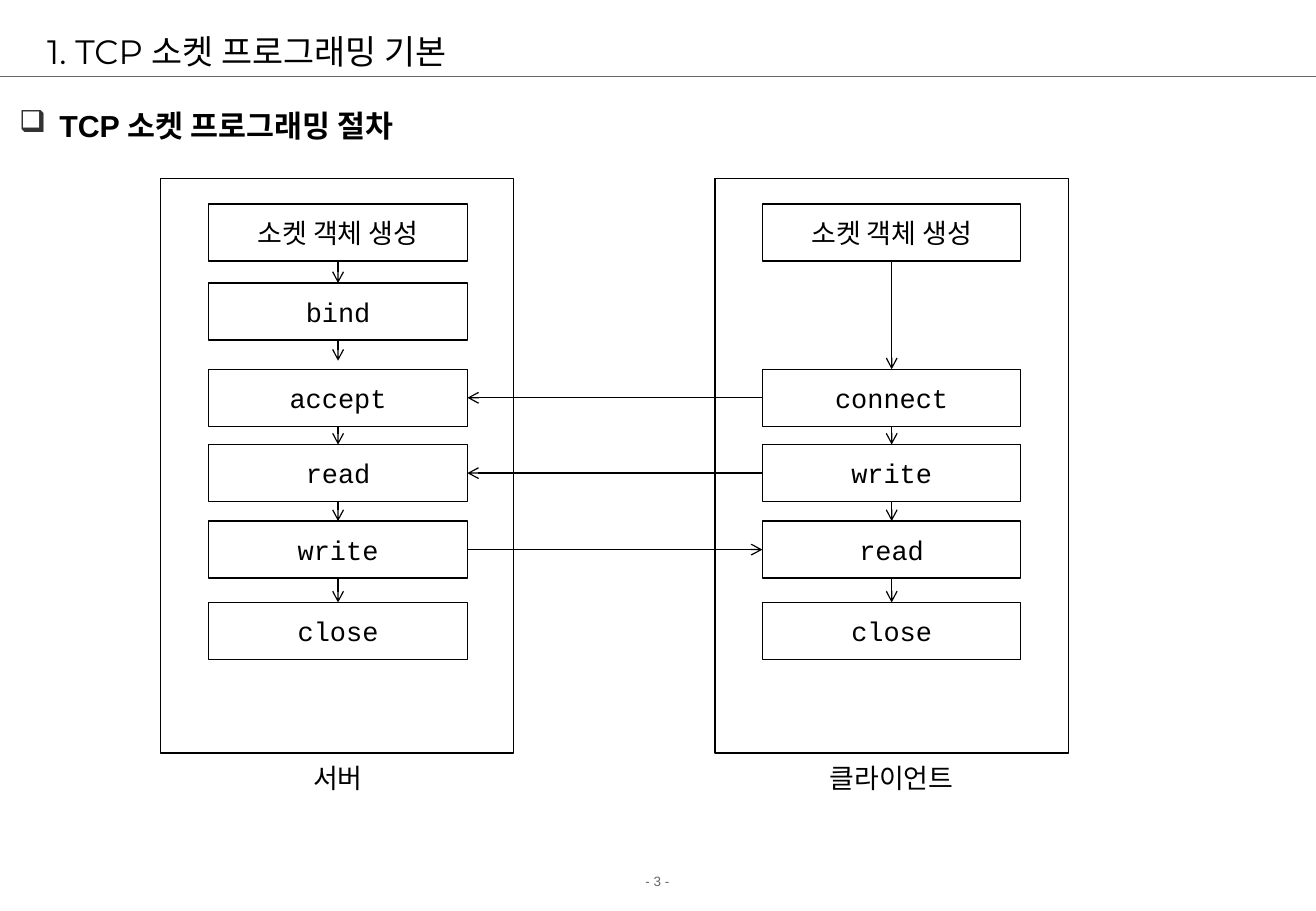
from dataclasses import dataclass
from itertools import pairwise

import pptx
import pptx.dml.color
import pptx.enum.shapes
import pptx.enum.text
import pptx.oxml
import pptx.oxml.ns
import pptx.util
from pptx.shapes.autoshape import Shape
from pptx.shapes.connector import Connector
from pptx.text.text import _Paragraph

Inches = pptx.util.Inches
Pt = pptx.util.Pt
ALIGN = pptx.enum.text.PP_ALIGN
MIDDLE = pptx.enum.text.MSO_ANCHOR.MIDDLE

BLACK = "000000"
GRAY = "666666"
STEP_WIDTH, STEP_HEIGHT = 2.13, 0.47
FRAME_TOP, FRAME_WIDTH, FRAME_HEIGHT = 1.47, 2.91, 4.73
LABEL_WIDTH = 1.34
TOP, LEFT, BOTTOM, RIGHT = range(4)


@dataclass(frozen=True)
class Step:
    text: str
    row: int


@dataclass(frozen=True)
class Host:
    name: str
    frame_left: float
    step_left: float
    steps: tuple[Step, ...]


ROW_TOPS = (1.68, 2.33, 3.04, 3.66, 4.29, 4.96)
CREATE = Step("소켓 객체 생성", 0)
BIND = Step("bind", 1)
CLOSE = Step("close", 5)
SERVER = Host("서버", 1.32, 1.72, (
    CREATE, BIND, Step("accept", 2), Step("read", 3), Step("write", 4), CLOSE))
CLIENT = Host("클라이언트", 5.89, 6.28, (
    CREATE, Step("connect", 2), Step("write", 3), Step("read", 4), CLOSE))

presentation = pptx.Presentation()
presentation.slide_width = Inches(10.84)
presentation.slide_height = Inches(7.5)
slide = presentation.slides.add_slide(presentation.slide_layouts[6])


def rgb(color: str) -> pptx.dml.color.RGBColor:
    return pptx.dml.color.RGBColor.from_string(color)


def write(shape: Shape, text: str, size: float, font: str, color: str = BLACK,
          align: ALIGN = ALIGN.LEFT, bold: bool = False) -> _Paragraph:
    frame = shape.text_frame
    frame.word_wrap = True
    frame.text = text
    paragraph = frame.paragraphs[0]
    paragraph.alignment = align
    run_font = paragraph.runs[0].font
    run_font.size = Pt(size)
    run_font.name = font
    run_font.bold = bold
    run_font.color.rgb = rgb(color)
    return paragraph


def add_text_box(left: float, top: float, width: float, height: float) -> Shape:
    return slide.shapes.add_textbox(
        Inches(left), Inches(top), Inches(width), Inches(height))


def add_outline(left: float, top: float, width: float, height: float) -> Shape:
    """Add an unfilled rectangle with a thin black border."""
    outline = slide.shapes.add_shape(
        pptx.enum.shapes.MSO_SHAPE.RECTANGLE,
        Inches(left), Inches(top), Inches(width), Inches(height))
    outline.shadow.inherit = False
    outline.fill.background()
    outline.line.color.rgb = rgb(BLACK)
    outline.line.width = Pt(0.75)
    return outline


def add_line(x1: float, y1: float, x2: float, y2: float, color: str = BLACK) -> Connector:
    line = slide.shapes.add_connector(
        pptx.enum.shapes.MSO_CONNECTOR.STRAIGHT,
        Inches(x1), Inches(y1), Inches(x2), Inches(y2))
    line.line.color.rgb = rgb(color)
    line.line.width = Pt(0.75)
    pptx.oxml.ns.qn("a:effectLst")
    line._element.spPr.append(pptx.oxml.parse_xml(
        f'<a:effectLst {pptx.oxml.ns.nsdecls("a")}/>'))
    return line


def add_arrow(x1: float, y1: float, x2: float, y2: float) -> Connector:
    arrow = add_line(x1, y1, x2, y2)
    arrow.line._get_or_add_ln().append(pptx.oxml.parse_xml(
        f'<a:tailEnd {pptx.oxml.ns.nsdecls("a")} type="arrow"/>'))
    return arrow


def join(source: Shape, source_side: int, target: Shape, target_side: int) -> None:
    """Draw an arrow between the side middles of two steps."""
    arrow = add_arrow(0, 0, 0, 0)
    arrow.begin_connect(source, source_side)
    arrow.end_connect(target, target_side)


def add_host(host: Host) -> dict[str, Shape]:
    """Draw a host's frame, steps and name; return its step boxes by text."""
    add_outline(host.frame_left, FRAME_TOP, FRAME_WIDTH, FRAME_HEIGHT)
    boxes: dict[str, Shape] = {}
    for step in host.steps:
        box = add_outline(host.step_left, ROW_TOPS[step.row], STEP_WIDTH, STEP_HEIGHT)
        write(box, step.text, 16, "Courier New", align=ALIGN.CENTER)
        frame = box.text_frame
        frame.vertical_anchor = MIDDLE
        frame.margin_left = frame.margin_right = 0
        frame.margin_top = frame.margin_bottom = 0
        boxes[step.text] = box

    center = host.step_left + STEP_WIDTH / 2
    for step, following in pairwise(host.steps):
        if step is BIND:
            bind_bottom = ROW_TOPS[step.row] + STEP_HEIGHT
            short_arrow = add_arrow(center, bind_bottom, center, 2.97)
            short_arrow.begin_connect(boxes[step.text], BOTTOM)
        else:
            join(boxes[step.text], BOTTOM, boxes[following.text], TOP)

    label = add_text_box(center - LABEL_WIDTH / 2, 6.22, LABEL_WIDTH, 0.37)
    write(label, host.name, 16, "Courier New", align=ALIGN.CENTER)
    return boxes


def add_headings() -> None:
    page_number = write(add_text_box(0, 7.14, 10.83, 0.24), "- 3 -", 8, "Arial",
                        GRAY, ALIGN.CENTER)
    page_number.space_before = Pt(5)
    add_line(0, 0.63, 10.84, 0.63, GRAY)

    title = add_text_box(0.29, 0.21, 10.17, 0.42)
    write(title, "1. TCP 소켓 프로그래밍 기본", 20, "Montserrat")
    title.text_frame.vertical_anchor = MIDDLE

    topic = write(add_text_box(0.06, 0.68, 10.78, 0.6), "TCP 소켓 프로그래밍 절차",
                  18, "Arial", bold=True)
    topic.line_spacing = 1.5
    topic.space_before = Pt(5.6)
    properties = topic._p.get_or_add_pPr()
    properties.set("marL", str(Inches(0.33)))
    properties.set("indent", str(Inches(-0.33)))
    namespace = pptx.oxml.ns.nsdecls("a")
    for bullet_part in (
        f'<a:buClr {namespace}><a:srgbClr val="333333"/></a:buClr>',
        f'<a:buChar {namespace} char="❑"/>',
    ):
        properties.append(pptx.oxml.parse_xml(bullet_part))


def main() -> None:
    add_headings()
    server = add_host(SERVER)
    client = add_host(CLIENT)
    join(client["connect"], LEFT, server["accept"], RIGHT)
    join(client["write"], LEFT, server["read"], RIGHT)
    join(server["write"], RIGHT, client["read"], LEFT)
    presentation.save("out.pptx")


if __name__ == "__main__":
    main()
